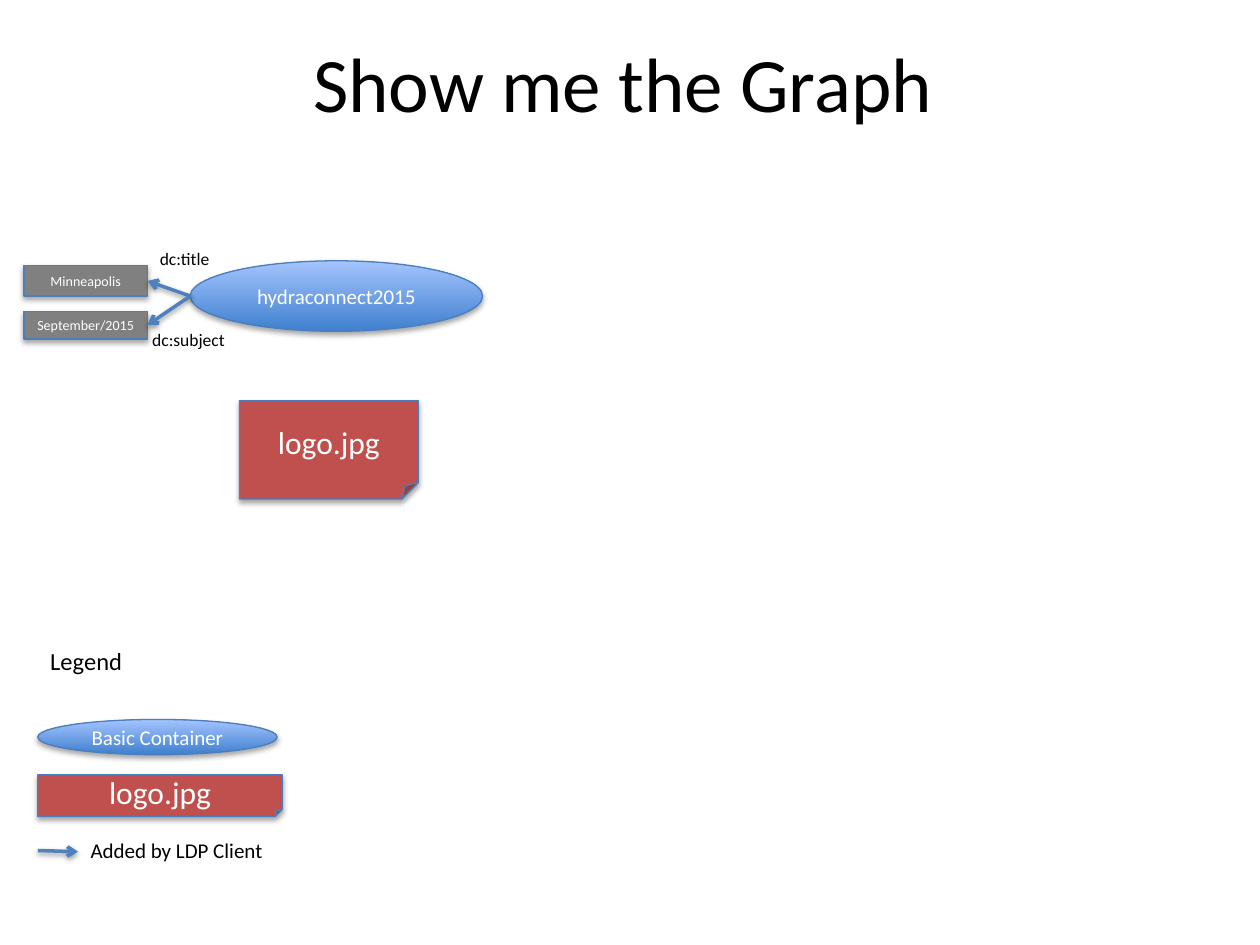
from lxml import etree
from pptx import Presentation
from pptx import util as u
from pptx.dml.color import RGBColor
from pptx.enum import shapes, text
from pptx.oxml.ns import qn

FONT = "Calibri"
COLORS = {
    "text": "000000", "on_fill": "FFFFFF", "outline": "4B7EBC", "arrow": "4F81BD",
    "literal": "808080", "binary": "C0504D",
    "container_low": "3F80CE", "container_high": "A4C4FF",
}
TITLE = ("Show me the Graph", (0.23, 0.2, 9.43, 0.89), 44)

# kind: preset shape and text size of each sort of node
KINDS = {
    "container": (shapes.MSO_SHAPE.OVAL, 12),
    "literal": (shapes.MSO_SHAPE.RECTANGLE, 8),
    "binary": (shapes.MSO_SHAPE.FOLDED_CORNER, 18),
}
LEGEND_LEFT = 0.3
RESOURCE = ("container", "hydraconnect2015", (1.51, 2.07, 2.32, 0.56))
LITERALS = [
    ("literal", "Minneapolis", (0.19, 2.11, 0.98, 0.24)),
    ("literal", "September/2015", (0.19, 2.47, 0.98, 0.22)),
]
OTHER_NODES = [
    ("container", "Basic Container", (LEGEND_LEFT, 5.71, 1.9, 0.28)),
    ("binary", "logo.jpg", (1.9, 3.18, 1.42, 0.78)),
    ("binary", "logo.jpg", (LEGEND_LEFT, 6.15, 1.94, 0.33)),
]
# text, place, size, wraps
LABELS = [
    ("Added by LDP Client", (0.62, 6.6, 1.61, 0.3), 12, True),
    ("dc:title", (1.17, 1.92, 0.6, 0.27), 10, False),
    ("dc:subject", (1.11, 2.56, 0.79, 0.27), 10, True),
    ("Legend", (LEGEND_LEFT, 5.08, 0.78, 0.34), 14, False),
]
LEGEND_ARROW = ((LEGEND_LEFT, 6.75), (0.62, 6.76))


def color(name):
    return RGBColor.from_string(COLORS[name])


def inches(values):
    return [u.Inches(value) for value in values]


def write(frame, words, size, color_name, align):
    frame.text = words
    paragraph = frame.paragraphs[0]
    paragraph.alignment = align
    font = paragraph.runs[0].font
    font.name, font.size = FONT, u.Pt(size)
    font.color.rgb = color(color_name)


def drop_shadow(properties, distance, opacity):
    """Put a soft shadow straight below; distance in points, opacity in percent."""
    effects = properties.find(qn("a:effectLst"))
    if effects is None:
        effects = etree.SubElement(properties, qn("a:effectLst"))
    shadow = etree.SubElement(
        effects, qn("a:outerShdw"), blurRad=str(u.Pt(3.1)),
        dist=str(u.Pt(distance)), dir="5400000", rotWithShape="0")
    black = etree.SubElement(shadow, qn("a:srgbClr"), val="000000")
    etree.SubElement(black, qn("a:alpha"), val=str(opacity * 1000))


def add_node(slide, kind, words, place):
    preset, size = KINDS[kind]
    node = slide.shapes.add_shape(preset, *inches(place))
    if kind == "container":
        node.fill.gradient()
        node.fill.gradient_angle = 90
        ends = ("container_low", "container_high")
        for stop, position, end in zip(node.fill.gradient_stops, (0, 1), ends):
            stop.position = position
            stop.color.rgb = color(end)
    else:
        node.fill.solid()
        node.fill.fore_color.rgb = color(kind)
    node.line.color.rgb = color("outline")
    node.line.width = u.Pt(0.75)
    node.shadow.inherit = False
    drop_shadow(node._element.spPr, 1.8, 35)
    node.text_frame.vertical_anchor = text.MSO_ANCHOR.MIDDLE
    write(node.text_frame, words, size, "on_fill", text.PP_ALIGN.CENTER)
    return node


def add_arrow(slide, start, end):
    arrow = slide.shapes.add_connector(shapes.MSO_CONNECTOR.STRAIGHT, *start, *end)
    arrow.line.color.rgb = color("arrow")
    arrow.line.width = u.Pt(2)
    etree.SubElement(arrow.line._get_or_add_ln(), qn("a:tailEnd"), type="arrow")
    drop_shadow(arrow._element.spPr, 1.6, 38)
    return arrow


def add_label(slide, words, place, size, wraps):
    frame = slide.shapes.add_textbox(*inches(place)).text_frame
    frame.word_wrap = wraps
    frame.auto_size = text.MSO_AUTO_SIZE.SHAPE_TO_FIT_TEXT
    write(frame, words, size, "text", text.PP_ALIGN.LEFT)


def main():
    deck = Presentation()
    deck.slide_width, deck.slide_height = inches((10, 7.5))
    slide = deck.slides.add_slide(deck.slide_layouts[5])

    words, place, size = TITLE
    title = slide.shapes.title
    title.left, title.top, title.width, title.height = inches(place)
    title.text_frame.vertical_anchor = text.MSO_ANCHOR.MIDDLE
    write(title.text_frame, words, size, "text", text.PP_ALIGN.CENTER)

    resource = add_node(slide, *RESOURCE)
    literals = [add_node(slide, *literal) for literal in LITERALS]
    for node in OTHER_NODES:
        add_node(slide, *node)

    resource_side = (resource.left, resource.top + resource.height // 2)
    for literal in literals:
        literal_side = (literal.left + literal.width, literal.top + literal.height // 2)
        add_arrow(slide, resource_side, literal_side).end_connect(literal, 3)
    add_arrow(slide, *map(inches, LEGEND_ARROW))

    for label in LABELS:
        add_label(slide, *label)
    deck.save("out.pptx")


if __name__ == "__main__":
    main()
